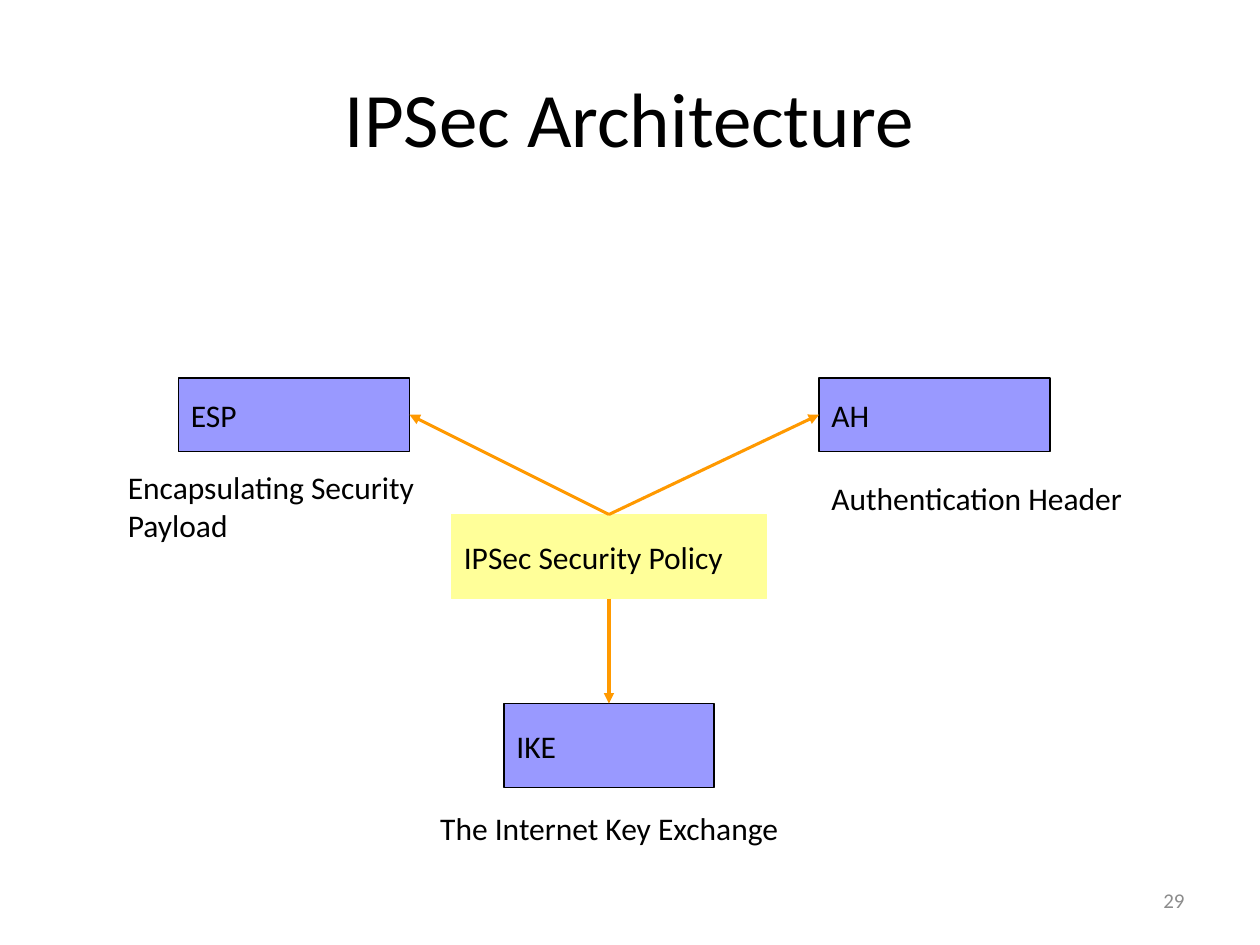
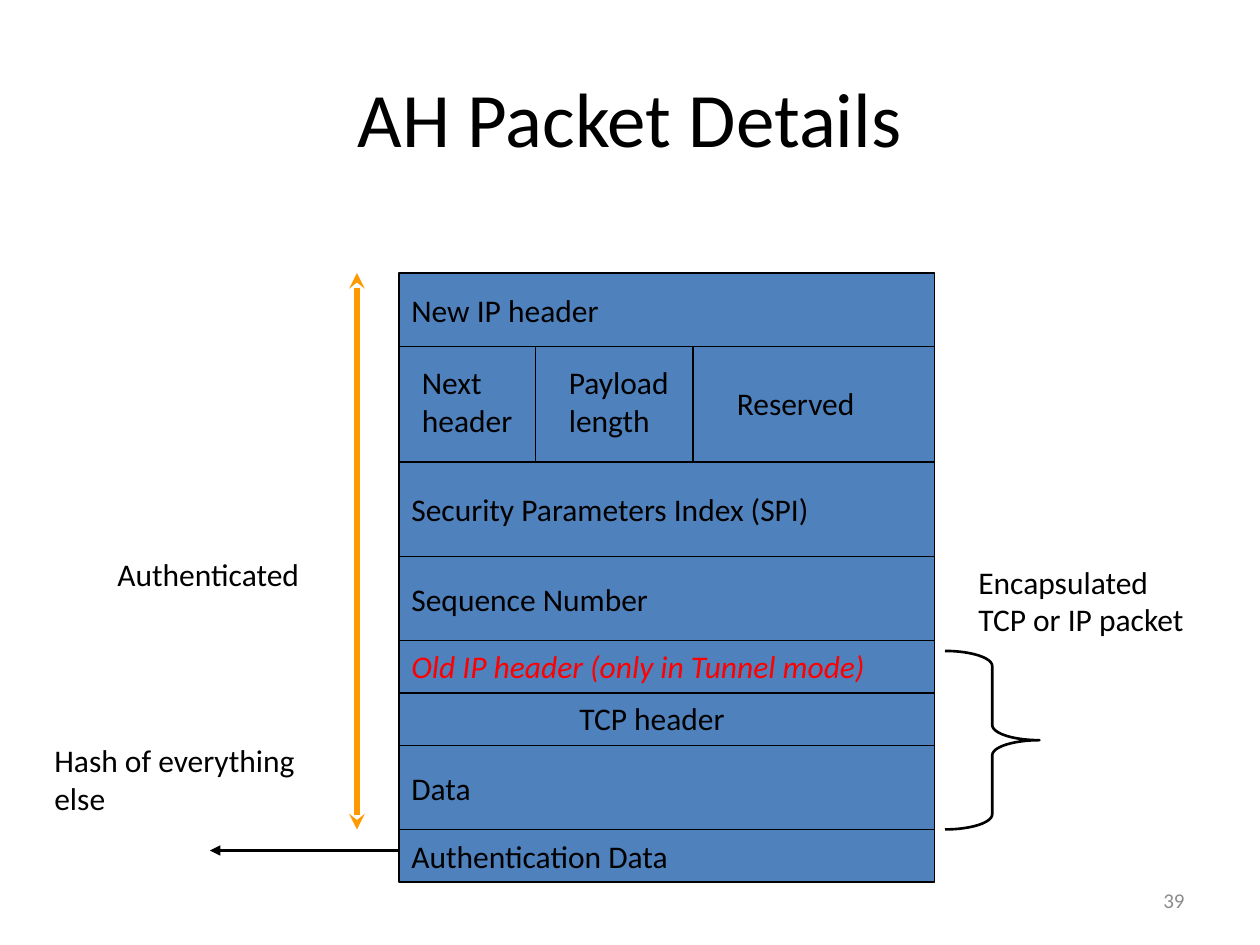
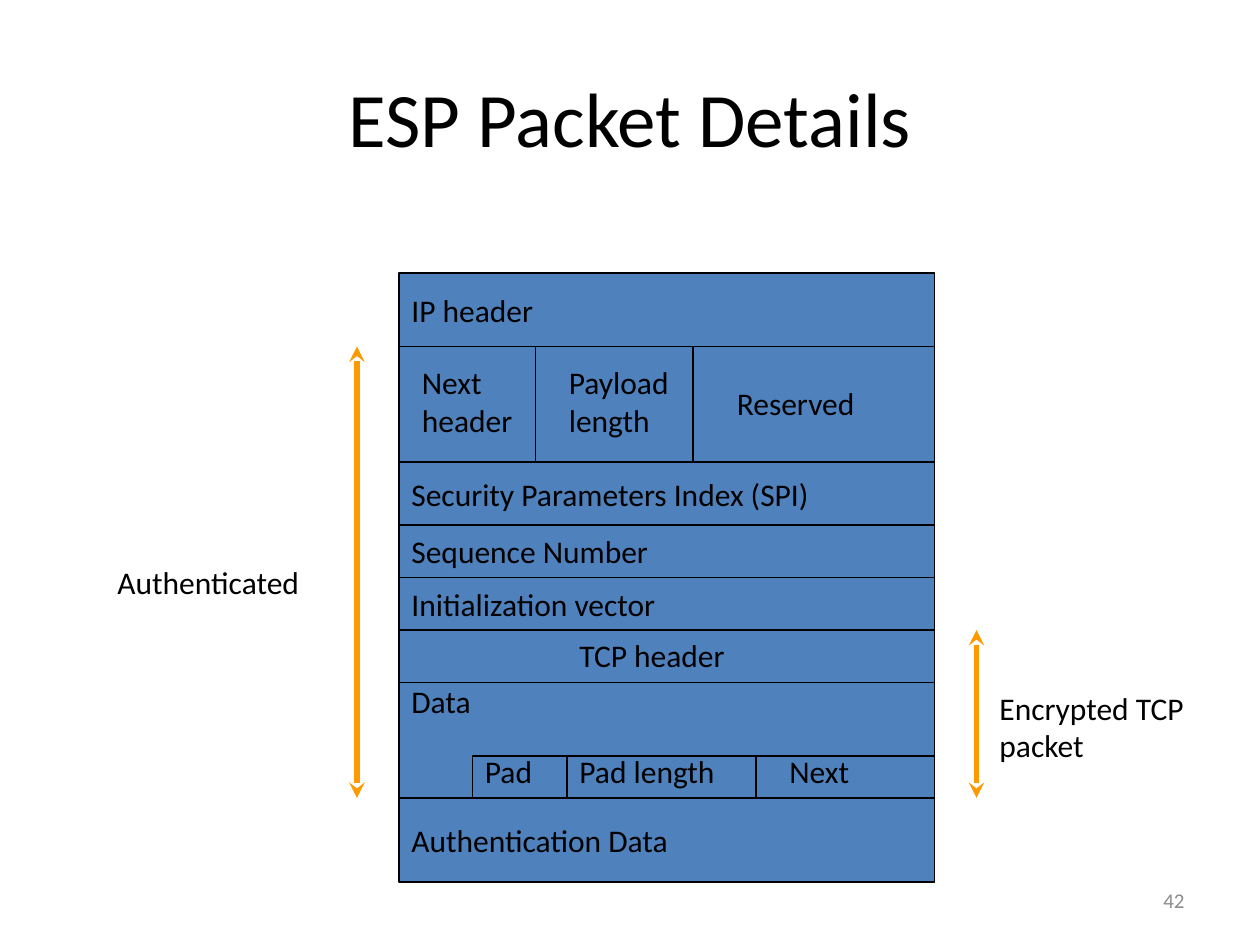
"""Build three slides on the IPSec architecture and its packet layouts."""
from dataclasses import dataclass

from lxml import etree
from pptx import Presentation
from pptx.dml.color import RGBColor
from pptx.enum.shapes import MSO_CONNECTOR, MSO_SHAPE
from pptx.enum.text import MSO_ANCHOR, MSO_AUTO_SIZE, PP_ALIGN
from pptx.oxml.ns import qn
from pptx.util import Emu, Pt

EMU_PER_PX = 9525
FONT = "Calibri"
COLORS = {
    "text": "000000",
    "line": "000000",
    "number": "8C8C8C",
    "alert": "FF0000",
    "arrow": "FF9900",
    "protocol": "9999FF",
    "policy": "FFFF99",
    "packet": "4F81BD",
}
STRAIGHT = MSO_CONNECTOR.STRAIGHT
RECTANGLE = MSO_SHAPE.RECTANGLE
RIGHT_BRACE = MSO_SHAPE.RIGHT_BRACE
TOP, MIDDLE = MSO_ANCHOR.TOP, MSO_ANCHOR.MIDDLE
LEFT, CENTER, RIGHT = PP_ALIGN.LEFT, PP_ALIGN.CENTER, PP_ALIGN.RIGHT
GROW = MSO_AUTO_SIZE.SHAPE_TO_FIT_TEXT
SIDE_TOP, SIDE_LEFT, SIDE_BOTTOM, SIDE_RIGHT = range(4)

PACKET_LEFT, PACKET_TOP, PACKET_WIDTH = 304, 208, 408
PACKET_RIGHT = PACKET_LEFT + PACKET_WIDTH
FIELDS_TOP, FIELDS_BOTTOM = 264, 352
AUTHENTICATED_X = 272


@dataclass(frozen=True)
class Box:
    text: str
    left: int
    top: int
    width: int
    height: int
    fill: str
    line: str = "line"


@dataclass(frozen=True)
class Label:
    text: str
    left: int
    top: int
    width: int
    color: str = "text"
    italic: bool = False


@dataclass(frozen=True)
class Line:
    start: tuple[int, int]
    end: tuple[int, int]
    color: str = "line"
    width: float = 0.75
    head: str = ""
    tail: str = ""


@dataclass(frozen=True)
class Row:
    text: str
    height: int


PROTOCOLS = [
    (Box("ESP", 136, 288, 176, 56, "protocol"), SIDE_TOP, SIDE_RIGHT),
    (Box("AH", 624, 288, 176, 56, "protocol"), SIDE_TOP, SIDE_LEFT),
    (Box("IKE", 384, 536, 160, 64, "protocol"), SIDE_BOTTOM, SIDE_TOP),
]
POLICY = Box("IPSec Security Policy", 344, 392, 240, 64, "policy", "policy")
PROTOCOL_NAMES = [
    Label("Encapsulating Security\nPayload", 88, 352, 240),
    Label("Authentication Header", 624, 360, 244),
    Label("The Internet Key Exchange", 326, 612, 280),
]
FIELD_LABELS = [
    Label("Next\nheader", 312, 272, 89),
    Label("Payload\nlength", 424, 272, 96),
    Label("Reserved", 552, 288, 110),
]
FIELD_DIVIDERS = [408, 528]

AH_ROWS = [
    Row("New IP header", 56),
    Row("", 88),
    Row("Security Parameters Index (SPI)", 72),
    Row("Sequence Number", 64),
    Row("", 80),
    Row("Data", 64),
    Row("Authentication Data", 40),
]
AH_LABELS = [
    Label("Old IP header (only in Tunnel mode)", PACKET_LEFT, 488, 369, "alert", True),
    Label("TCP header", 432, 528, 132),
    Label("Authenticated", 80, 418, 159),
    Label("Encapsulated\nTCP or IP packet", 736, 424, 178),
    Label("Hash of everything\nelse", 32, 560, 204),
]
ESP_ROWS = [
    Row("IP header", 56),
    Row("", 88),
    Row("Security Parameters Index (SPI)", 48),
    Row("Sequence Number", 40),
    Row("Initialization vector", 40),
    Row("", 40),
    Row("Data", 88),
    Row("Authentication Data", 64),
]
ESP_LABELS = [
    Label("TCP header", 432, 480, 132),
    Label("Authenticated", 80, 424, 159),
    Label("Pad", 360, 568, 56),
    Label("Pad length", 432, 568, 124),
    Label("Next", 592, 568, 65),
    Label("Encrypted TCP\npacket", 752, 520, 167),
]
PAD_LEFT, PAD_TOP, PAD_BOTTOM = 360, 576, 608
PAD_DIVIDERS = [432, 576]


def px(length: int) -> Emu:
    """Turn pixels into EMU."""
    return Emu(length * EMU_PER_PX)


def rgb(color: str) -> RGBColor:
    """Look up a named colour."""
    return RGBColor.from_string(COLORS[color])


def style_text(text_frame, size: int = 18, color: str = "text", align=LEFT, italic: bool = False) -> None:
    """Format every paragraph of a text frame alike."""
    for paragraph in text_frame.paragraphs:
        paragraph.alignment = align
        font = paragraph.font
        font.name, font.size, font.italic = FONT, Pt(size), italic
        font.color.rgb = rgb(color)


def add_slide(presentation, title: str, number: int):
    """Add a slide with its title and slide number."""
    slide = presentation.slides.add_slide(presentation.slide_layouts[5])
    heading = slide.shapes.title
    heading.left, heading.top, heading.width, heading.height = map(px, (48, 29, 864, 120))
    heading.text_frame.text = title
    heading.text_frame.vertical_anchor = MIDDLE
    style_text(heading.text_frame, 44, align=CENTER)
    footer = slide.shapes.add_textbox(*map(px, (688, 667, 224, 38))).text_frame
    footer.word_wrap = True
    footer.vertical_anchor = MIDDLE
    footer.text = str(number)
    style_text(footer, 12, "number", RIGHT)
    return slide


def add_box(slide, box: Box):
    """Draw a filled rectangle with left-aligned text."""
    shape = slide.shapes.add_shape(RECTANGLE, *map(px, (box.left, box.top, box.width, box.height)))
    shape.shadow.inherit = False
    shape.fill.solid()
    shape.fill.fore_color.rgb = rgb(box.fill)
    shape.line.color.rgb = rgb(box.line)
    shape.line.width = Pt(0.75)
    if box.text:
        shape.text_frame.text = box.text
        shape.text_frame.word_wrap = False
        shape.text_frame.vertical_anchor = MIDDLE
        style_text(shape.text_frame)
    return shape


def add_label(slide, label: Label) -> None:
    """Write a label as tall as its lines."""
    height = 8 + 30 * len(label.text.split("\n"))
    box = slide.shapes.add_textbox(*map(px, (label.left, label.top, label.width, height)))
    box.text_frame.text = label.text
    box.text_frame.word_wrap = False
    box.text_frame.auto_size = GROW
    style_text(box.text_frame, color=label.color, italic=label.italic)


def add_line(slide, line: Line):
    """Draw a straight line with optional arrowheads."""
    connector = slide.shapes.add_connector(STRAIGHT, *map(px, line.start + line.end))
    connector.line.color.rgb = rgb(line.color)
    connector.line.width = Pt(line.width)
    properties = connector.element.spPr
    for tag, arrowhead in (("a:headEnd", line.head), ("a:tailEnd", line.tail)):
        if arrowhead:
            etree.SubElement(properties.find(qn("a:ln")), qn(tag), type=arrowhead)
    etree.SubElement(properties, qn("a:effectLst"))
    return connector


def add_span(slide, x: int, top: int, bottom: int) -> None:
    """Mark a vertical range with a double-headed arrow."""
    add_line(slide, Line((x, top), (x, bottom), "arrow", 3, "stealth", "stealth"))


def add_dividers(slide, positions: list[int], top: int, bottom: int) -> None:
    """Draw vertical lines between neighbouring fields."""
    for x in positions:
        add_line(slide, Line((x, top), (x, bottom)))


def add_packet(slide, rows: list[Row]) -> dict:
    """Stack the packet rows, divide the field row and return shapes by text."""
    shapes = {}
    top = PACKET_TOP
    for row in rows:
        box = Box(row.text, PACKET_LEFT, top, PACKET_WIDTH, row.height, "packet")
        shapes[row.text] = add_box(slide, box)
        top += row.height
    add_dividers(slide, FIELD_DIVIDERS, FIELDS_TOP, FIELDS_BOTTOM)
    for label in FIELD_LABELS:
        add_label(slide, label)
    return shapes


def build_architecture(presentation) -> None:
    """Show the policy linked to its three protocols."""
    slide = add_slide(presentation, "IPSec Architecture", 29)
    policy = add_box(slide, POLICY)
    for box, policy_side, protocol_side in PROTOCOLS:
        protocol = add_box(slide, box)
        arrow = add_line(slide, Line((0, 0), (0, 0), "arrow", 1.75, tail="triangle"))
        arrow.begin_connect(policy, policy_side)
        arrow.end_connect(protocol, protocol_side)
    for label in PROTOCOL_NAMES:
        add_label(slide, label)


def build_ah_packet(presentation) -> None:
    """Show the rows of an AH packet."""
    slide = add_slide(presentation, "AH Packet Details", 39)
    add_packet(slide, AH_ROWS)
    add_line(slide, Line((PACKET_LEFT, 528), (PACKET_RIGHT, 528)))
    add_span(slide, AUTHENTICATED_X, PACKET_TOP, 632)
    add_line(slide, Line((PACKET_LEFT, 648), (160, 648), width=1.5, tail="triangle"))
    brace = slide.shapes.add_shape(RIGHT_BRACE, *map(px, (720, 496, 72, 136)))
    brace.shadow.inherit = False
    brace.adjustments[0] = 0.16
    brace.fill.background()
    brace.line.color.rgb = rgb("line")
    brace.line.width = Pt(1.5)
    for label in AH_LABELS:
        add_label(slide, label)


def build_esp_packet(presentation) -> None:
    """Show the rows of an ESP packet with its padding fields."""
    slide = add_slide(presentation, "ESP Packet Details", 42)
    data = add_packet(slide, ESP_ROWS)["Data"].text_frame
    data.vertical_anchor = TOP
    data.margin_top = 0
    builder = slide.shapes.build_freeform(PAD_LEFT, PAD_BOTTOM, scale=EMU_PER_PX)
    builder.add_line_segments([(PAD_LEFT, PAD_TOP), (PACKET_RIGHT, PAD_TOP)], close=False)
    pad_outline = builder.convert_to_shape()
    pad_outline.shadow.inherit = False
    pad_outline.fill.background()
    pad_outline.line.color.rgb = rgb("line")
    pad_outline.line.width = Pt(0.75)
    add_dividers(slide, PAD_DIVIDERS, PAD_TOP, PAD_BOTTOM)
    add_span(slide, AUTHENTICATED_X, FIELDS_TOP, PAD_BOTTOM)
    add_span(slide, 744, 480, PAD_BOTTOM)
    for label in ESP_LABELS:
        add_label(slide, label)


def main() -> None:
    """Build and save the presentation."""
    presentation = Presentation()
    presentation.slide_width, presentation.slide_height = px(960), px(720)
    build_architecture(presentation)
    build_ah_packet(presentation)
    build_esp_packet(presentation)
    presentation.save("out.pptx")


if __name__ == "__main__":
    main()
